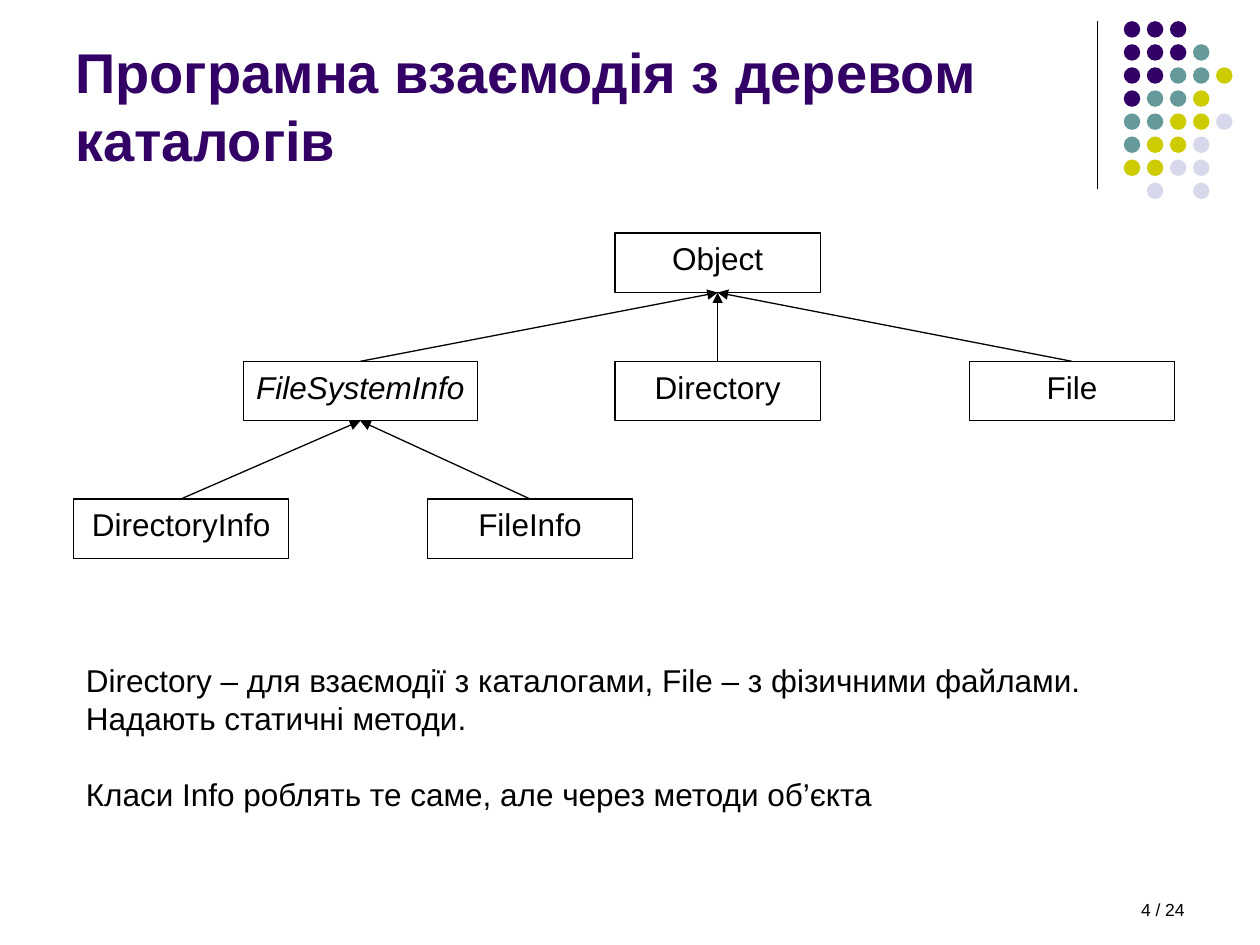
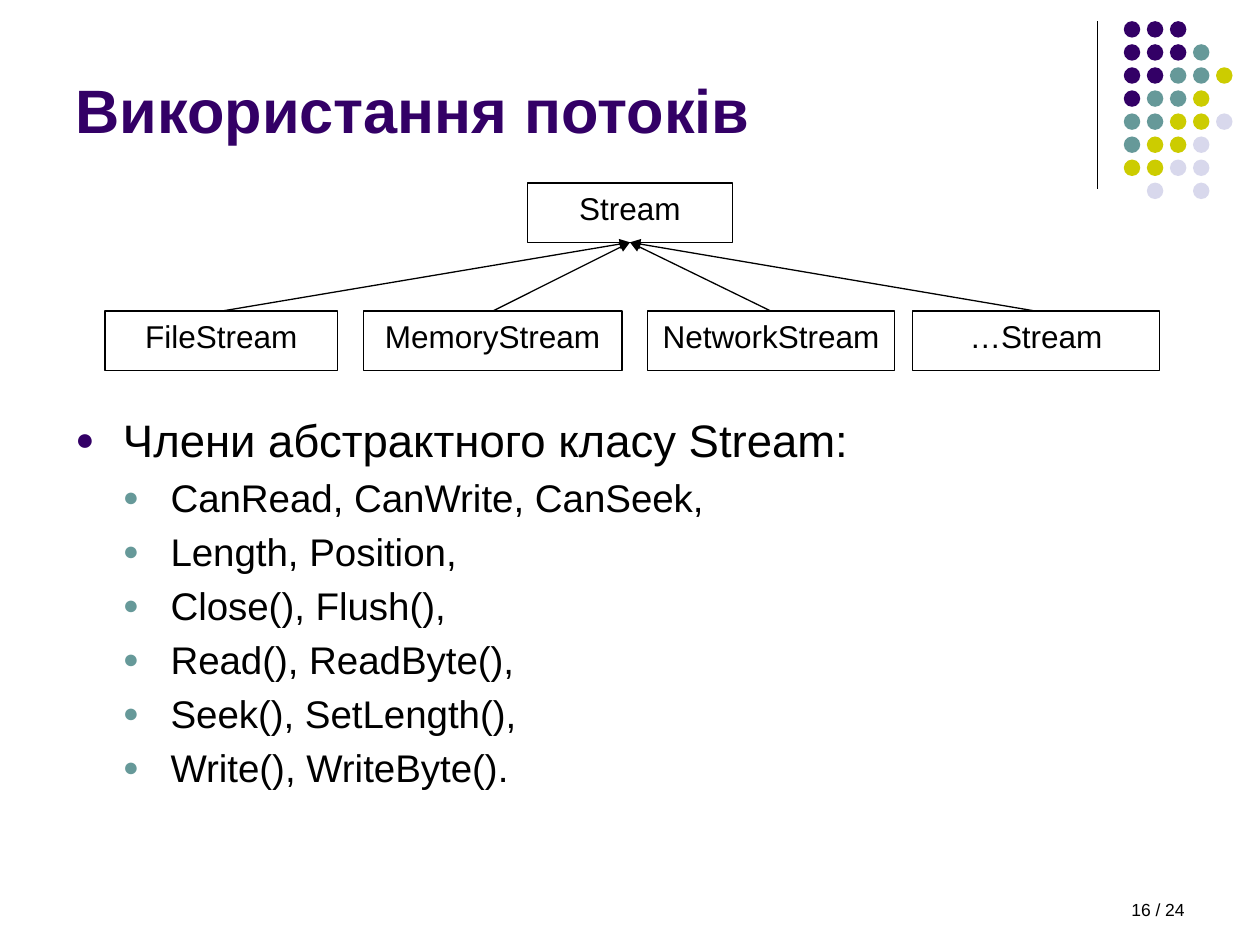
from dataclasses import dataclass
from typing import Optional, Sequence

from lxml.etree import SubElement
from pptx import Presentation
from pptx.dml.color import RGBColor
from pptx.enum.shapes import MSO_CONNECTOR, MSO_SHAPE
from pptx.enum.text import MSO_ANCHOR, PP_ALIGN
from pptx.oxml.ns import qn
from pptx.util import Pt

# Shared style
COLORS = {
    "purple": "330066",
    "teal": "669999",
    "olive": "CCCC00",
    "lavender": "D8D8EC",
    "black": "000000",
    "white": "FFFFFF",
}
FONT = "Arial"
PAGE_COUNT = 24
LINE_WIDTH = 0.75
BOX_HEIGHT = 34
TOP_SITE, BOTTOM_SITE = 0, 2

# Dot ornament: one letter per dot, a space leaves a gap
DOT_ROWS = ["PPP", "PPPT", "PPTTO", "PTTO", "TTOOL", "TOOL", "OOLL", " L L"]
DOT_COLORS = {"P": "purple", "T": "teal", "O": "olive", "L": "lavender"}
DOT_LEFT, DOT_TOP, DOT_PITCH, DOT_SIZE = 642.2, 12.1, 13.18, 9.4


@dataclass
class ClassBox:
    name: str
    left: float
    top: float
    width: float
    parent: Optional[str] = None
    italic: bool = False


@dataclass
class Bullet:
    level: int
    size: float
    color: str


TOP_BULLET = Bullet(0, 26, "purple")
SUB_BULLET = Bullet(1, 22, "teal")
BULLET_INDENT = 27.2


def rgb(name: str) -> RGBColor:
    return RGBColor.from_string(COLORS[name])


def add_text(frame, text: str, *, size: float, color: str = "black",
             bold: bool = False, italic: bool = False,
             align=PP_ALIGN.LEFT, space_before: float = 0):
    """Write one paragraph, reusing the empty one of a new frame."""
    first = frame.paragraphs[0]
    paragraph = frame.add_paragraph() if first.runs else first
    paragraph.alignment = align
    paragraph.space_before = Pt(space_before)
    run = paragraph.add_run()
    run.text = text
    run.font.name = FONT
    run.font.size = Pt(size)
    run.font.bold = bold
    run.font.italic = italic
    run.font.color.rgb = rgb(color)
    return paragraph


def add_frame(slide, left: float, top: float, width: float, height: float,
              anchor=MSO_ANCHOR.TOP):
    box = slide.shapes.add_textbox(Pt(left), Pt(top), Pt(width), Pt(height))
    frame = box.text_frame
    frame.word_wrap = True
    frame.vertical_anchor = anchor
    return frame


def add_bullet(frame, text: str, bullet: Bullet) -> None:
    paragraph = add_text(frame, text, size=bullet.size,
                         space_before=bullet.size * 0.2)
    paragraph.level = bullet.level
    properties = paragraph._p.get_or_add_pPr()
    properties.set("marL", str(Pt(BULLET_INDENT * (bullet.level + 1))))
    properties.set("indent", str(Pt(-BULLET_INDENT)))
    color = SubElement(properties, qn("a:buClr"))
    SubElement(color, qn("a:srgbClr"), val=COLORS[bullet.color])
    SubElement(properties, qn("a:buSzPct"), val="70000")
    SubElement(properties, qn("a:buFont"), typeface=FONT)
    SubElement(properties, qn("a:buChar"), char="●")


def add_line(shapes, start: tuple, end: tuple, arrow: bool = False):
    connector = shapes.add_connector(
        MSO_CONNECTOR.STRAIGHT, *(Pt(value) for value in (*start, *end)))
    connector.line.color.rgb = rgb("black")
    connector.line.width = Pt(LINE_WIDTH)
    if arrow:
        SubElement(connector.line._get_or_add_ln(), qn("a:tailEnd"),
                   type="triangle")
    SubElement(connector._element.spPr, qn("a:effectLst"))
    return connector


def add_shape(shapes, kind, left: float, top: float, width: float,
              height: float, fill: str, outlined: bool = False):
    shape = shapes.add_shape(kind, Pt(left), Pt(top), Pt(width), Pt(height))
    shape.shadow.inherit = False
    shape.fill.solid()
    shape.fill.fore_color.rgb = rgb(fill)
    if outlined:
        shape.line.color.rgb = rgb("black")
        shape.line.width = Pt(LINE_WIDTH)
    else:
        shape.line.fill.background()
    return shape


def add_ornament(slide) -> None:
    add_line(slide.shapes, (627.1, 12.2), (627.1, 108))
    group = slide.shapes.add_group_shape()
    for row, letters in enumerate(DOT_ROWS):
        for column, letter in enumerate(letters):
            if letter in DOT_COLORS:
                add_shape(group.shapes, MSO_SHAPE.OVAL,
                          DOT_LEFT + column * DOT_PITCH,
                          DOT_TOP + row * DOT_PITCH,
                          DOT_SIZE, DOT_SIZE, DOT_COLORS[letter])


def add_class_tree(slide, boxes: Sequence[ClassBox]) -> None:
    """Draw the class boxes, then an arrow from each child to its parent."""
    shapes = slide.shapes.add_group_shape().shapes
    drawn = {}
    for box in boxes:
        shape = add_shape(shapes, MSO_SHAPE.RECTANGLE, box.left, box.top,
                          box.width, BOX_HEIGHT, "white", outlined=True)
        frame = shape.text_frame
        frame.word_wrap = True
        frame.vertical_anchor = MSO_ANCHOR.TOP
        frame.margin_left = frame.margin_right = Pt(0)
        add_text(frame, box.name, size=18, italic=box.italic,
                 align=PP_ALIGN.CENTER)
        drawn[box.name] = (box, shape)
    for box, shape in drawn.values():
        if box.parent:
            parent, parent_shape = drawn[box.parent]
            arrow = add_line(
                shapes, (box.left + box.width / 2, box.top),
                (parent.left + parent.width / 2, parent.top + BOX_HEIGHT),
                arrow=True)
            arrow.begin_connect(shape, TOP_SITE)
            arrow.end_connect(parent_shape, BOTTOM_SITE)


def add_slide(presentation, title: str, number: int, title_size: float,
              title_height: float):
    """Start a slide with the ornament, title and page number."""
    slide = presentation.slides.add_slide(presentation.slide_layouts[6])
    add_ornament(slide)
    frame = add_frame(slide, 36, 24, 594, title_height, MSO_ANCHOR.BOTTOM)
    add_text(frame, title, size=title_size, color="purple", bold=True)
    frame = add_frame(slide, 516, 510, 168, 18)
    add_text(frame, f"{number} / {PAGE_COUNT}", size=10, align=PP_ALIGN.RIGHT)
    return slide


presentation = Presentation()
presentation.slide_width = Pt(720)
presentation.slide_height = Pt(540)

# Slide 1: classes of the directory tree
slide = add_slide(presentation, "Програмна взаємодія з деревом каталогів", 4,
                  title_size=32, title_height=78)
add_class_tree(slide, [
    ClassBox("Object", 351.5, 133.2, 117.2),
    ClassBox("FileSystemInfo", 139, 206.5, 133.8, "Object", italic=True),
    ClassBox("Directory", 351.5, 206.5, 117.2, "Object"),
    ClassBox("File", 554, 206.5, 117.2, "Object"),
    ClassBox("DirectoryInfo", 42, 285.1, 123, "FileSystemInfo"),
    ClassBox("FileInfo", 244.2, 285.1, 117.2, "FileSystemInfo"),
])
frame = add_frame(slide, 42, 374.4, 629, 94.5)
add_text(frame, "Directory – для взаємодії з каталогами, File – з фізичними "
         "файлами. Надають статичні методи.", size=18)
add_text(frame, "Класи Info роблять те саме, але через методи об’єкта",
         size=18, space_before=21.6)

# Slide 2: stream classes and members
slide = add_slide(presentation, "Використання потоків", 16,
                  title_size=35, title_height=62.6)
frame = add_frame(slide, 36, 232, 648, 272)
add_bullet(frame, "Члени абстрактного класу Stream:", TOP_BULLET)
for members in ("CanRead, CanWrite, CanSeek,", "Length, Position,",
                "Close(), Flush(),", "Read(), ReadByte(),",
                "Seek(), SetLength(),", "Write(), WriteByte()."):
    add_bullet(frame, members, SUB_BULLET)
add_class_tree(slide, [
    ClassBox("Stream", 301.5, 104.5, 117),
    ClassBox("FileStream", 60, 177.8, 133, "Stream"),
    ClassBox("MemoryStream", 207.6, 177.8, 147.8, "Stream"),
    ClassBox("NetworkStream", 370, 177.8, 141.2, "Stream"),
    ClassBox("…Stream", 521.4, 177.8, 141.2, "Stream"),
])

presentation.save("out.pptx")
